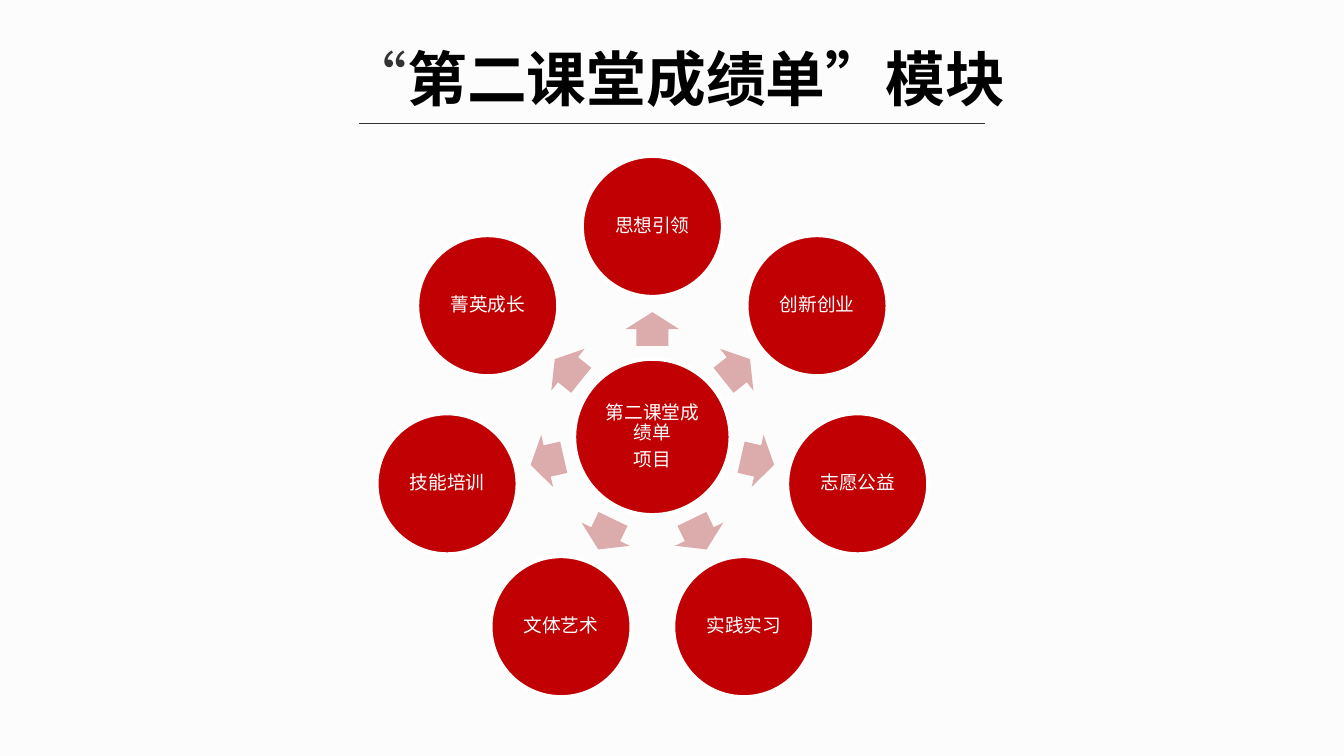
from math import cos, radians, sin

from lxml.etree import SubElement
from pptx import Presentation
from pptx.dml.color import RGBColor
from pptx.enum.lang import MSO_LANGUAGE_ID
from pptx.enum.shapes import MSO_CONNECTOR, MSO_SHAPE
from pptx.enum.text import MSO_ANCHOR, PP_ALIGN
from pptx.oxml.ns import qn
from pptx.util import Cm, Pt

CENTER_X, CENTER_Y = 12.33, 8.26
NODE_ORBIT, ARROW_ORBIT = 3.98, 2.04
HUB_SIZE, NODE_SIZE = 2.95, 2.66
MODULES = ["思想引领", "创新创业", "志愿公益", "实践实习", "文体艺术", "技能培训", "菁英成长"]


def rgb(value):
    return RGBColor.from_string(value)


def apply(target, values):
    for name, value in values.items():
        setattr(target, name, value)


class SlideBuilder:
    red, pink, white, dark, black = "C00002", "DCABAB", "FFFFFF", "333333", "000000"
    label = {"name": "Calibri", "size": Pt(10)}
    title_font = {
        "name": "Noto Sans CJK SC",
        "size": Pt(32),
        "language_id": MSO_LANGUAGE_ID.SIMPLIFIED_CHINESE,
    }
    label_paragraph = {
        "alignment": PP_ALIGN.CENTER,
        "line_spacing": 0.9,
        "space_after": Pt(3.5),
    }
    label_frame = {
        "word_wrap": True,
        "vertical_anchor": MSO_ANCHOR.MIDDLE,
        "margin_left": Cm(0.03),
        "margin_right": Cm(0.03),
        "margin_top": Cm(0.03),
        "margin_bottom": Cm(0.03),
    }

    def __init__(self, prs, background):
        self.s = prs.slides.add_slide(prs.slide_layouts[6])
        fill = self.s.background.fill
        fill.solid()
        fill.fore_color.rgb = rgb(background)

    def shape(self, kind, x, y, w, h, color):
        sp = self.s.shapes.add_shape(kind, Cm(x - w / 2), Cm(y - h / 2), Cm(w), Cm(h))
        sp.shadow.inherit = False
        sp.fill.solid()
        sp.fill.fore_color.rgb = rgb(color)
        return sp

    def run(self, p, text, font, color):
        r = p.add_run()
        r.text = text
        apply(r.font, font)
        r.font.color.rgb = rgb(color)
        return r

    def circle(self, x, y, size, lines):
        sp = self.shape(MSO_SHAPE.OVAL, x, y, size, size, self.red)
        sp.line.color.rgb = rgb(self.white)
        sp.line.width = Pt(2)
        tf = sp.text_frame
        apply(tf, self.label_frame)
        for i, text in enumerate(lines):
            p = tf.add_paragraph() if i else tf.paragraphs[0]
            apply(p, self.label_paragraph)
            self.run(p, text, self.label, self.white)

    def arrow(self, x, y, angle):
        sp = self.shape(MSO_SHAPE.RIGHT_ARROW, x, y, 0.64, 1.01, self.pink)
        sp.line.fill.background()
        sp.adjustments[0], sp.adjustments[1] = 0.6, 0.5
        sp.rotation = angle % 360

    def title(self, x, y, w, h, parts):
        tf = self.s.shapes.add_textbox(Cm(x), Cm(y), Cm(w), Cm(h)).text_frame
        tf.word_wrap = True
        p = tf.paragraphs[0]
        p.alignment = PP_ALIGN.CENTER
        for text, color, bold in parts:
            r = self.run(p, text, {**self.title_font, "bold": bold}, color)
            ea = SubElement(r._r.get_or_add_rPr(), qn("a:ea"))
            ea.set("typeface", self.title_font["name"])

    def rule(self, x1, x2, y):
        line = self.s.shapes.add_connector(
            MSO_CONNECTOR.STRAIGHT, Cm(x1), Cm(y), Cm(x2), Cm(y)
        )
        line.line.color.rgb = rgb(self.dark)
        line.line.width = Pt(0.75)
        SubElement(line._element.spPr, qn("a:effectLst"))


def main():
    prs = Presentation()
    prs.slide_width, prs.slide_height = Cm(25.4), Cm(14.29)
    slide = SlideBuilder(prs, "FCFCFC")
    slide.circle(CENTER_X, CENTER_Y, HUB_SIZE, ["第二课堂成绩单", "项目"])
    for i, name in enumerate(MODULES):
        angle = 360 * i / len(MODULES) - 90
        dx, dy = cos(radians(angle)), sin(radians(angle))
        slide.arrow(CENTER_X + ARROW_ORBIT * dx, CENTER_Y + ARROW_ORBIT * dy, angle)
        slide.circle(
            CENTER_X + NODE_ORBIT * dx, CENTER_Y + NODE_ORBIT * dy, NODE_SIZE, [name]
        )
    slide.title(
        5.89, 0.66, 13.79, 1.63,
        [("“", slide.dark, False), ("第二课堂成绩单”模块", slide.black, True)],
    )
    slide.rule(6.78, 18.62, 2.34)
    prs.save("out.pptx")


if __name__ == "__main__":
    main()
